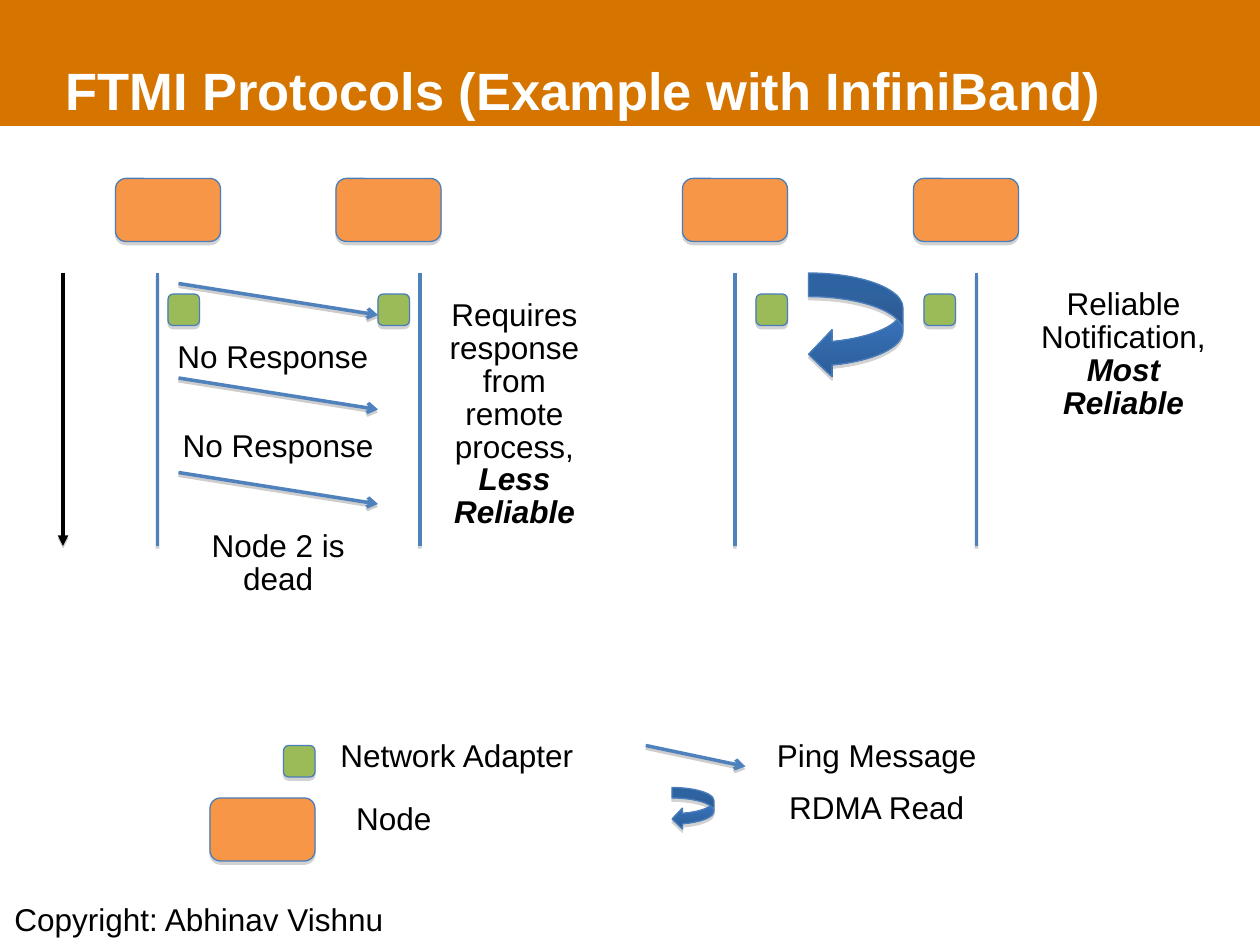
import pptx
import pptx.util
import pptx.dml.color
import pptx.enum.shapes
import pptx.enum.text
import pptx.oxml
import pptx.oxml.ns

SHAPE = pptx.enum.shapes.MSO_SHAPE
ALIGN = pptx.enum.text.PP_ALIGN
ANCHOR = pptx.enum.text.MSO_ANCHOR
AUTO = pptx.enum.text.MSO_AUTO_SIZE
COLORS = {
    "band": "D57500", "node": "F79646", "adapter": "9BBB59", "edge": "4A7EBB",
    "line": "4F81BD", "text": "000000", "title": "FFFFFF", "shadow": "808080",
}
ARROW_STOPS = [(0, "3A7CCB"), (20, "3C7BC7"), (100, "2C5D98")]
COLS, ROWS = 120, 90
UNIT = pptx.util.Inches(10) / COLS
NODE = (10, 6)
ADAPTER = (3, 3)
LABEL_H = 4.4
BOLD_ITALIC = True


def grid(*values):
    return [round(v * UNIT) for v in values]


def rgb(name):
    return pptx.dml.color.RGBColor.from_string(COLORS[name])


def xml(tag, attrs="", inner=""):
    return pptx.oxml.parse_xml(
        f'<a:{tag} {pptx.oxml.ns.nsdecls("a")} {attrs}>{inner}</a:{tag}>')


def add_shadow(effects, distance, alpha):
    effects.append(xml(
        "outerShdw",
        f'blurRad="0" dist="{pptx.util.Pt(distance)}" dir="5400000" rotWithShape="0"',
        f'<a:srgbClr val="{COLORS["shadow"]}"><a:alpha val="{alpha * 1000}"/></a:srgbClr>'))


def add_block(s, kind, x, y, w, h, fill=None):
    sp = s.shapes.add_shape(kind, *grid(x, y, w, h))
    if fill:
        sp.fill.solid()
        sp.fill.fore_color.rgb = rgb(fill)
    sp.line.color.rgb = rgb("edge")
    sp.line.width = pptx.util.Pt(0.75)
    sp.shadow.inherit = False
    add_shadow(sp._element.spPr.find(pptx.oxml.ns.qn("a:effectLst")), 1.8, 35)
    return sp


def add_node(s, x, y):
    add_block(s, SHAPE.ROUNDED_RECTANGLE, x, y, *NODE, "node")


def add_adapter(s, x, y):
    add_block(s, SHAPE.ROUNDED_RECTANGLE, x, y, *ADAPTER, "adapter")


def add_read_arrow(s, x, y, w, h):
    sp = add_block(s, SHAPE.CURVED_LEFT_ARROW, x, y, w, h)
    stops = "".join(f'<a:gs pos="{pos * 1000}"><a:srgbClr val="{color}"/></a:gs>'
                    for pos, color in ARROW_STOPS)
    fill = xml("gradFill", 'rotWithShape="1"',
               f'<a:gsLst>{stops}</a:gsLst><a:lin ang="5400000" scaled="0"/>')
    sp._element.spPr.find(pptx.oxml.ns.qn("a:prstGeom")).addnext(fill)


def add_line(s, x1, y1, x2, y2, color="line", head=None):
    cn = s.shapes.add_connector(
        pptx.enum.shapes.MSO_CONNECTOR.STRAIGHT, *grid(x1, y1, x2, y2))
    cn.line.color.rgb = rgb(color)
    cn.line.width = pptx.util.Pt(2)
    if head:
        cn.line._get_or_add_ln().append(xml("tailEnd", f'type="{head}"'))
    effects = xml("effectLst")
    cn._element.spPr.append(effects)
    add_shadow(effects, 1.6, 38)


def add_text(s, x, y, w, h, lines, size=18, color="text", align=ALIGN.CENTER,
             spacing=0.87, bold=False, wrap=True):
    tb = s.shapes.add_textbox(*grid(x, y, w, h))
    tf = tb.text_frame
    tf.word_wrap = wrap
    tf.auto_size = AUTO.SHAPE_TO_FIT_TEXT
    for i, line in enumerate(lines):
        text, strong = line if isinstance(line, tuple) else (line, False)
        p = tf.paragraphs[0] if i == 0 else tf.add_paragraph()
        p.alignment = align
        p.line_spacing = spacing
        r = p.add_run()
        r.text = text
        r.font.name = "Arial"
        r.font.size = pptx.util.Pt(size)
        r.font.color.rgb = rgb(color)
        r.font.bold = bold or strong
        r.font.italic = strong
    return tf


def header(s, x, y, w, h):
    band = s.shapes.add_shape(SHAPE.RECTANGLE, *grid(x, y, w, h))
    band.fill.solid()
    band.fill.fore_color.rgb = rgb("band")
    band.line.fill.background()
    band.shadow.inherit = False
    tf = add_text(s, x + 6.25, y + h / 2, w - 12.4, h / 2,
                  ["FTMI Protocols (Example with InfiniBand)"],
                  30, "title", ALIGN.LEFT, 0.85, True)
    tf.auto_size = AUTO.NONE
    tf.vertical_anchor = ANCHOR.MIDDLE
    tf.margin_left = tf.margin_right = tf.margin_top = tf.margin_bottom = 0


def node_pair(s, x, y, h, nodes, timelines, adapters):
    for dx in nodes:
        add_node(s, x + dx, y)
    for dx in timelines:
        add_line(s, x + dx, y + 9, x + dx, y + h)
    for dx in adapters:
        add_adapter(s, x + dx, y + 11)


def ping_panel(s, x, y, w, h):
    add_line(s, x, y + 9, x, y + h, "text", "triangle")
    for i in range(3):
        top = y + 10 + 9 * i
        add_line(s, x + 11, top, x + 30, top + 3, head="arrow")
    node_pair(s, x, y, h, (5, 26), (9, 34), (10, 30))
    add_text(s, x + 8, y + 15, 24, LABEL_H, ["No Response"])
    add_text(s, x + 8, y + 23.5, 25, LABEL_H, ["No Response"])
    add_text(s, x + 8, y + 33, 25, 7.7, ["Node 2 is", "dead"])
    add_text(s, x + w - 18, y + 11, 18, 23.4,
             ["Requires response from remote process,",
              ("Less Reliable", BOLD_ITALIC)])


def rdma_panel(s, x, y, w, h):
    node_pair(s, x, y, h, (0, 22), (5, 28), (7, 23))
    add_read_arrow(s, x + 12, y + 9, 9, 10)
    add_text(s, x + w - 20, y + 10, 20, 13.9,
             ["Reliable Notification,", ("Most", BOLD_ITALIC),
              ("Reliable", BOLD_ITALIC)])


def legend(s, x, y, w, h):
    add_adapter(s, x + 7, y + 1)
    add_node(s, x, y + h - NODE[1])
    add_line(s, x + 41.5, y + 1, x + 51, y + 3, head="arrow")
    add_read_arrow(s, x + 44, y + 5, 4, 4)
    for dx, dy, width, label in [
        (11, 0, 25, "Network Adapter"), (11, 6, 13, "Node"),
        (w - 25, 0, 25, "Ping Message"), (w - 25, 5, 25, "RDMA Read"),
    ]:
        add_text(s, x + dx, y + dy, width, LABEL_H, [label])


def footer(s, x, y, w, h):
    add_text(s, x, y, w, h, ["Copyright: Abhinav Vishnu"], wrap=False)


def main():
    prs = pptx.Presentation()
    prs.slide_width, prs.slide_height = grid(COLS, ROWS)
    s = prs.slides.add_slide(prs.slide_layouts[6])
    footer(s, 0, ROWS - LABEL_H, 37.9, LABEL_H)
    header(s, 0, 0, COLS, 12)
    ping_panel(s, 6, 17, 52, 35)
    rdma_panel(s, 65, 17, 52, 35)
    legend(s, 20, 70, 76, 12)
    prs.save("out.pptx")


if __name__ == "__main__":
    main()
